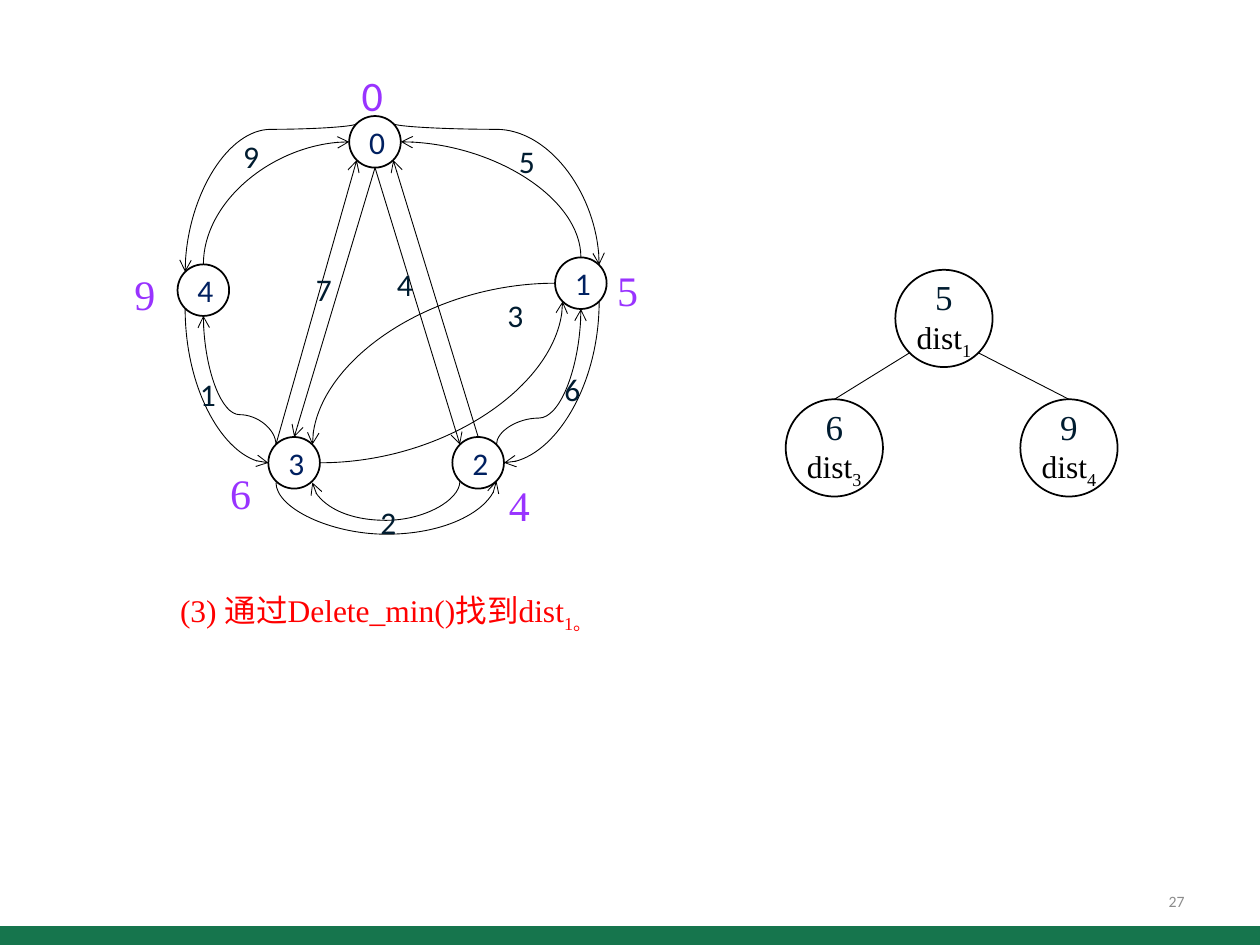
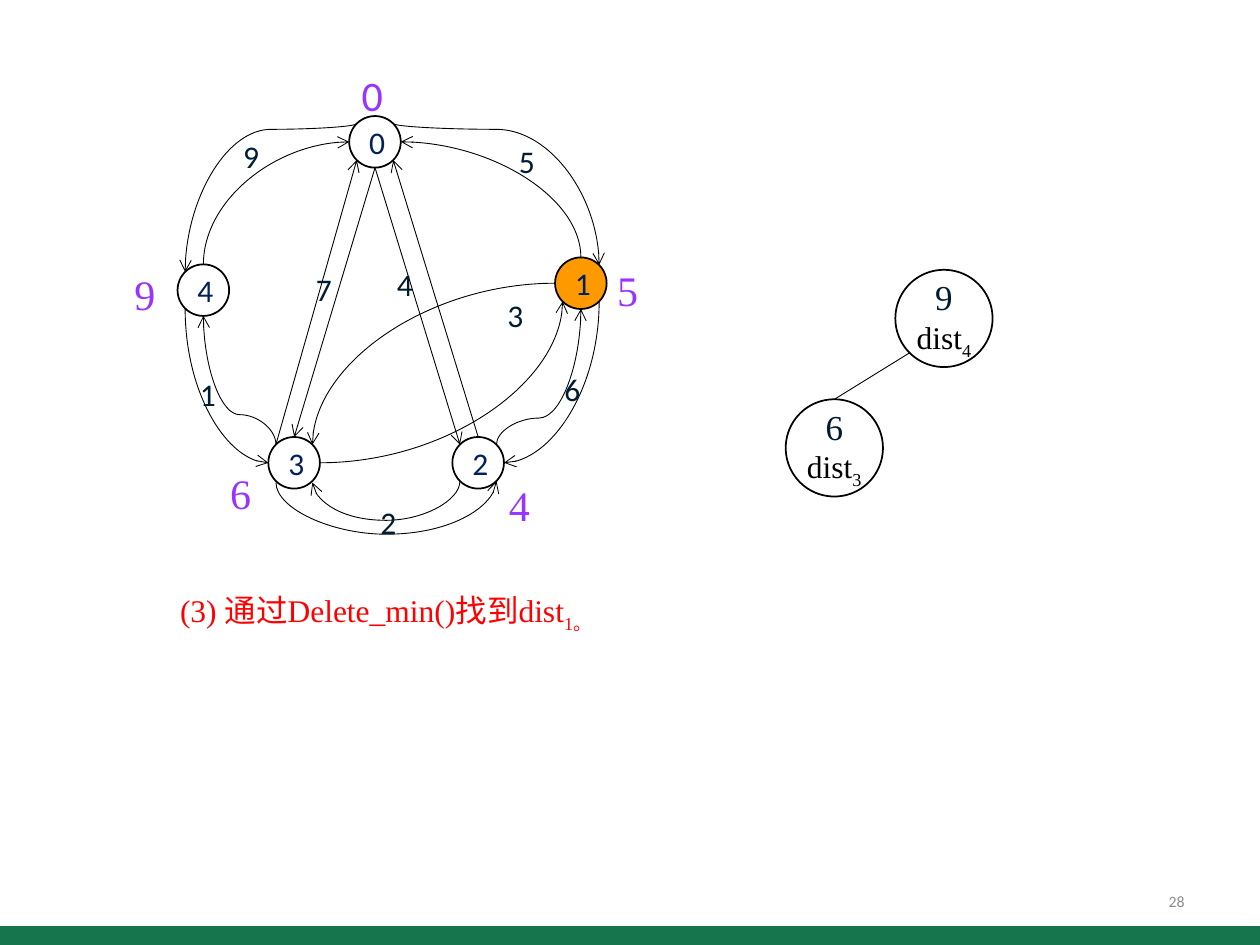
import pptx
import pptx.dml.color
import pptx.enum.shapes
import pptx.enum.text
import pptx.oxml
import pptx.oxml.ns
import pptx.util
from lxml import etree

Cm = pptx.util.Cm
Pt = pptx.util.Pt
SHAPE = pptx.enum.shapes.MSO_SHAPE
LINK = pptx.enum.shapes.MSO_CONNECTOR
ALIGN = pptx.enum.text.PP_ALIGN
qn = pptx.oxml.ns.qn

SANS, SERIF = "Calibri", "Times New Roman"
BLACK, NAVY, INK = "000000", "002060", "001C30"
GREEN, PURPLE, RED, ORANGE, GREY = "16754D", "9933FF", "FF0000", "FF9900", "8C8C8C"
DIAG = 0.5 ** 0.5
PORTS = {"N": (0, -1), "S": (0, 1), "W": (-1, 0), "E": (1, 0),
         "NW": (-DIAG, -DIAG), "NE": (DIAG, -DIAG),
         "SW": (-DIAG, DIAG), "SE": (DIAG, DIAG)}

VERTEX_R = 0.52
VERTICES = {"0": (3.98, 0.52), "4": (0.52, 3.51), "3": (2.35, 6.99),
            "2": (6.06, 6.99), "1": (8.13, 3.37)}
STRAIGHT_EDGES = [("2 NW", "0 S", "head"), ("3 N", "0 S", "head"),
                  ("3 NW", "0 SW", "tail"), ("2 N", "0 SE", "tail")]
CURVED_EDGES = [("0 NW", "4 NW", "tail", 0.27), ("3 W", "4 SW", "head", None),
                ("1 NE", "0 NE", "head", 0.27), ("2 SE", "3 SW", "head", 8.43),
                ("1 SE", "2 E", "tail", None), ("1 W", "3 NE", "tail", None),
                ("2 SW", "3 SE", "tail", 8.15), ("1 SW", "3 E", "head", None),
                ("3 NW", "4 S", "tail", 6.02), ("1 S", "2 NE", "head", 6.09),
                ("0 W", "4 N", "head", None), ("1 N", "0 E", "tail", None)]
WEIGHTS = [("9", 1.07, 0.3), ("5", 6.63, 0.4), ("4", 4.17, 2.87), ("7", 2.54, 2.97),
           ("1", 0.2, 5.1), ("2", 3.84, 7.67), ("3", 6.4, 3.5), ("6", 7.55, 5)]
DISTANCES = [("0", 3.46, -1.07, SANS), ("5", 8.61, 2.87, SERIF), ("4", 6.43, 7.21, SERIF),
             ("6", 0.81, 6.96, SERIF), ("9", -1.12, 2.94, SERIF)]

HEAP_R = 0.98
HEAP_SPOTS = [(3.19, 0.98), (0.98, 3.59), (5.71, 3.59)]


def rgb(value):
    """Turn a hex string into a colour."""
    return pptx.dml.color.RGBColor.from_string(value)


def write(p, text, size=18, color=INK, font=SANS, baseline=0):
    """Add a formatted run to a paragraph."""
    r = p.add_run()
    r.text = text
    r.font.size, r.font.name = Pt(size), font
    r.font.color.rgb = rgb(color)
    if baseline:
        r._r.get_or_add_rPr().set("baseline", str(baseline * 1000))


def text_box(sl, x, y, w, h, wrap=False):
    """Add an empty text box and return its shape."""
    sp = sl.shapes.add_textbox(Cm(x), Cm(y), Cm(w), Cm(h))
    sp.text_frame.word_wrap = wrap
    sp.text_frame.auto_size = pptx.enum.text.MSO_AUTO_SIZE.SHAPE_TO_FIT_TEXT
    return sp


def circle(sl, centre, radius, fill=None):
    """Add an outlined circle with centred text and return its shape."""
    x, y = centre
    sp = sl.shapes.add_shape(SHAPE.OVAL, Cm(x - radius), Cm(y - radius),
                             Cm(2 * radius), Cm(2 * radius))
    sp.shadow.inherit = False
    if fill:
        sp.fill.solid()
        sp.fill.fore_color.rgb = rgb(fill)
    else:
        sp.fill.background()
    sp.line.color.rgb, sp.line.width = rgb(BLACK), Pt(1)
    sp.text_frame.vertical_anchor = pptx.enum.text.MSO_ANCHOR.MIDDLE
    sp.text_frame.paragraphs[0].alignment = ALIGN.CENTER
    return sp


def port(centre, radius, side):
    """Return the point of a circle's outline in a compass direction."""
    return tuple(c + radius * d for c, d in zip(centre, PORTS[side]))


def connect(sl, kind, start, end, arrow=None):
    """Add a thin connector with an optional arrow at its head or tail."""
    cn = sl.shapes.add_connector(kind, *(Cm(v) for v in (*start, *end)))
    cn.line.color.rgb, cn.line.width = rgb(BLACK), Pt(0.5)
    etree.SubElement(cn._element.spPr, qn("a:effectLst"))
    if arrow:
        etree.SubElement(cn.line._get_or_add_ln(), qn(f"a:{arrow}End"), type="arrow")
    return cn


def curve(sl, start, end, arrow, sideways, bend=None):
    """Add a curve leaving sideways or upright; bend is the height of its turn."""
    dx, dy = end[0] - start[0], end[1] - start[1]
    if bend is not None and abs(dy) < 0.03:
        dy = 0.03
    if sideways:
        w, h, turn, flip = abs(dx), abs(dy), 180, dy > 0
    else:
        w, h = abs(dy), abs(dx)
        turn, flip = (90, dx > 0) if dy > 0 else (270, dx < 0)
    mx, my = start[0] + dx / 2, start[1] + dy / 2
    cn = connect(sl, LINK.CURVE, (mx - w / 2, my - h / 2), (mx + w / 2, my + h / 2), arrow)
    xfrm = cn._element.spPr.find(qn("a:xfrm"))
    xfrm.set("rot", str(turn * 60000))
    if flip:
        xfrm.set("flipV", "1")
    geom = cn._element.spPr.find(qn("a:prstGeom"))
    if bend is None:
        geom.set("prst", "curvedConnector2")
    else:
        guides = geom.find(qn("a:avLst"))
        if guides is None:
            guides = etree.SubElement(geom, qn("a:avLst"))
        ratio = round((bend - start[1]) / dy * 100000)
        etree.SubElement(guides, qn("a:gd"), name="adj1", fmla=f"val {ratio}")


def graph(sl, left, top, visited):
    """Draw the weighted graph with its tentative distances."""
    spots = {name: (left + x, top + y) for name, (x, y) in VERTICES.items()}

    def end_point(ref):
        """Return the point named by a vertex and a side."""
        name, side = ref.split()
        return port(spots[name], VERTEX_R, side)

    for name, centre in spots.items():
        sp = circle(sl, centre, VERTEX_R, ORANGE if name in visited else None)
        write(sp.text_frame.paragraphs[0], name, color=NAVY)
    for a, b, arrow in STRAIGHT_EDGES:
        connect(sl, LINK.STRAIGHT, end_point(a), end_point(b), arrow)
    for a, b, arrow, bend in CURVED_EDGES:
        curve(sl, end_point(a), end_point(b), arrow, a.split()[1] in ("W", "E"),
              None if bend is None else top + bend)
    for text, x, y in WEIGHTS:
        sp = text_box(sl, left + x, top + y, 0.86, 1.02)
        write(sp.text_frame.paragraphs[0], text)
    for text, x, y, font in DISTANCES:
        sp = text_box(sl, left + x, top + y, 0.94, 1.27)
        write(sp.text_frame.paragraphs[0], text, size=24, color=PURPLE, font=font)


def heap(sl, left, top, items):
    """Draw a heap of (distance, vertex) items, root first."""
    spots = [(left + x, top + y) for x, y in HEAP_SPOTS]
    for (distance, vertex), centre in zip(items, spots):
        tf = circle(sl, centre, HEAP_R).text_frame
        tf.margin_left = tf.margin_right = tf.margin_top = tf.margin_bottom = 0
        p = tf.paragraphs[0]
        write(p, distance, size=20, font=SERIF)
        p.add_line_break()
        write(p, "dist", color=BLACK, font=SERIF)
        write(p, vertex, color=BLACK, font=SERIF, baseline=-25)
    for centre, side in list(zip(spots[1:], ("SW", "SE")))[:len(items) - 1]:
        connect(sl, LINK.STRAIGHT, port(centre, HEAP_R, "N"), port(spots[0], HEAP_R, side))


def caption(sl, left, top):
    """Write the description of the step."""
    p = text_box(sl, left, top, 10.11, 1.02, wrap=True).text_frame.paragraphs[0]
    write(p, "(3) 通过Delete_min()找到dist", color=RED, font=SERIF)
    write(p, "1。", color=RED, font=SERIF, baseline=-25)


def footer(sl, number):
    """Add the green band and the page number."""
    sp = sl.shapes.add_shape(SHAPE.RECTANGLE, 0, Cm(18.67), Cm(25.4), Cm(0.38))
    sp.shadow.inherit = False
    sp.fill.solid()
    sp.fill.fore_color.rgb = rgb(GREEN)
    sp.line.fill.background()
    tf = text_box(sl, 18.21, 17.65, 5.92, 1.02, wrap=True).text_frame
    tf.auto_size = pptx.enum.text.MSO_AUTO_SIZE.NONE
    tf.vertical_anchor = pptx.enum.text.MSO_ANCHOR.MIDDLE
    tf.paragraphs[0].alignment = ALIGN.RIGHT
    write(tf.paragraphs[0], str(number), size=9, color=GREY)


def step_slide(prs, number, visited, items):
    """Build one step of the shortest-path search."""
    sl = prs.slides.add_slide(prs.slide_layouts[6])
    footer(sl, number)
    graph(sl, 3.58, 2.34, visited)
    heap(sl, 15.84, 5.44, items)
    caption(sl, 3.38, 11.79)


def main():
    """Build and save the presentation."""
    prs = pptx.Presentation()
    prs.slide_width, prs.slide_height = Cm(25.4), Cm(19.05)
    step_slide(prs, 27, "", [("5", "1"), ("6", "3"), ("9", "4")])
    step_slide(prs, 28, "1", [("9", "4"), ("6", "3")])
    prs.save("out.pptx")


if __name__ == "__main__":
    main()
